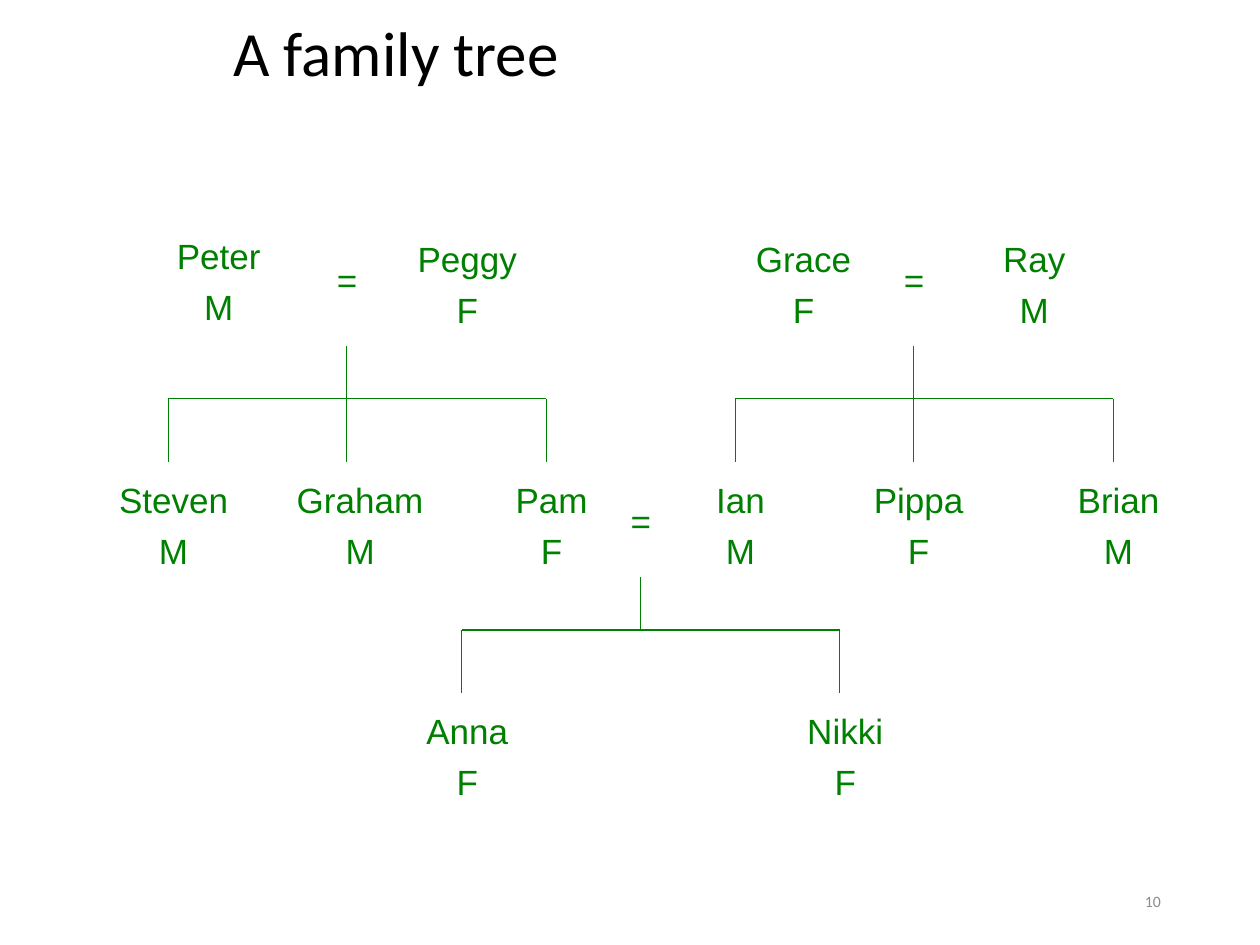
from pptx import Presentation
from pptx.dml.color import RGBColor
from pptx.enum.shapes import MSO_CONNECTOR as Conn
from pptx.enum.text import MSO_ANCHOR as Anchor, PP_ALIGN as Align
from pptx.oxml.xmlchemy import OxmlElement
from pptx.util import Cm, Pt

GREEN = "008000"
TREE_FONT = {"name": "Arial", "size": Pt(20)}
TREE_PARA = {"alignment": Align.CENTER, "space_before": Pt(5)}
NAME_W, NAME_H = 3.18, 2.12
EQUALS_W, EQUALS_H, EQUALS_DROP = 1.7, 1.06, 0.42
BAR_W, STEM_X, STEM_H, DROP_H = 7.62, 3.6, 1.06, 1.27
ROWS = [4.66, 9.53, 14.18]

PEOPLE = [
    ("Peter", "M", 2.82, 4.6),
    ("Peggy", "F", 7.83, ROWS[0]),
    ("Grace", "F", 14.61, ROWS[0]),
    ("Ray", "M", 19.26, ROWS[0]),
    ("Steven", "M", 1.91, ROWS[1]),
    ("Graham", "M", 5.67, ROWS[1]),
    ("Pam", "F", 9.53, ROWS[1]),
    ("Ian", "M", 13.34, ROWS[1]),
    ("Pippa", "F", 16.93, ROWS[1]),
    ("Brian", "M", 20.96, ROWS[1]),
    ("Anna", "F", 7.83, ROWS[2]),
    ("Nikki", "F", 15.45, ROWS[2]),
]
FAMILIES = [
    (3.39, 8.04, ROWS[0], 3),
    (14.82, 8.04, ROWS[0], 3),
    (9.31, 12.7, ROWS[1], 2),
]


def rgb(value):
    return RGBColor.from_string(value)


def apply(target, values):
    for key, value in values.items():
        setattr(target, key, value)


def add_text(s, box, lines, color, font, para, anchor=Anchor.TOP):
    tf = s.shapes.add_textbox(*map(Cm, box)).text_frame
    apply(tf, {"word_wrap": True, "vertical_anchor": anchor})
    for i, line in enumerate(lines):
        p = tf.paragraphs[0] if i == 0 else tf.add_paragraph()
        apply(p, para)
        r = p.add_run()
        r.text = line
        apply(r.font, font)
        r.font.color.rgb = rgb(color)


def add_line(s, x1, y1, x2, y2):
    line = s.shapes.add_connector(Conn.STRAIGHT, *map(Cm, (x1, y1, x2, y2)))
    line.line.color.rgb = rgb(GREEN)
    line.line.width = Pt(0.74)
    line._element.spPr.append(OxmlElement("a:effectLst"))


def add_person(s, name, sex, x, y):
    add_text(s, (x, y, NAME_W, NAME_H), [name, sex], GREEN, TREE_FONT, TREE_PARA)


def add_family(s, left, bar_y, parents_y, children):
    stem = left + STEM_X
    right = left + BAR_W
    bottom = bar_y + DROP_H
    box = (stem - EQUALS_W / 2, parents_y + EQUALS_DROP, EQUALS_W, EQUALS_H)
    add_text(s, box, ["="], GREEN, {**TREE_FONT, "italic": True}, TREE_PARA)
    add_line(s, stem, bar_y - STEM_H, stem, bottom if children == 3 else bar_y)
    add_line(s, left, bar_y, right, bar_y)
    for x in (left, right):
        add_line(s, x, bar_y, x, bottom)


def main():
    prs = Presentation()
    apply(prs, {"slide_width": Cm(25.4), "slide_height": Cm(19.05)})
    s = prs.slides.add_slide(prs.slide_layouts[6])
    add_text(s, (4.45, -0.23, 20.95, 2.72), ["A family tree"], "000000",
             {"name": "Calibri", "size": Pt(36)}, {"line_spacing": 0.9}, Anchor.MIDDLE)
    for family in FAMILIES:
        add_family(s, *family)
    for person in PEOPLE:
        add_person(s, *person)
    add_text(s, (17.93, 17.65, 5.72, 1.02), ["10"], "8C8C8C",
             {"name": "Calibri", "size": Pt(9)}, {"alignment": Align.RIGHT}, Anchor.MIDDLE)
    prs.save("out.pptx")


main()
